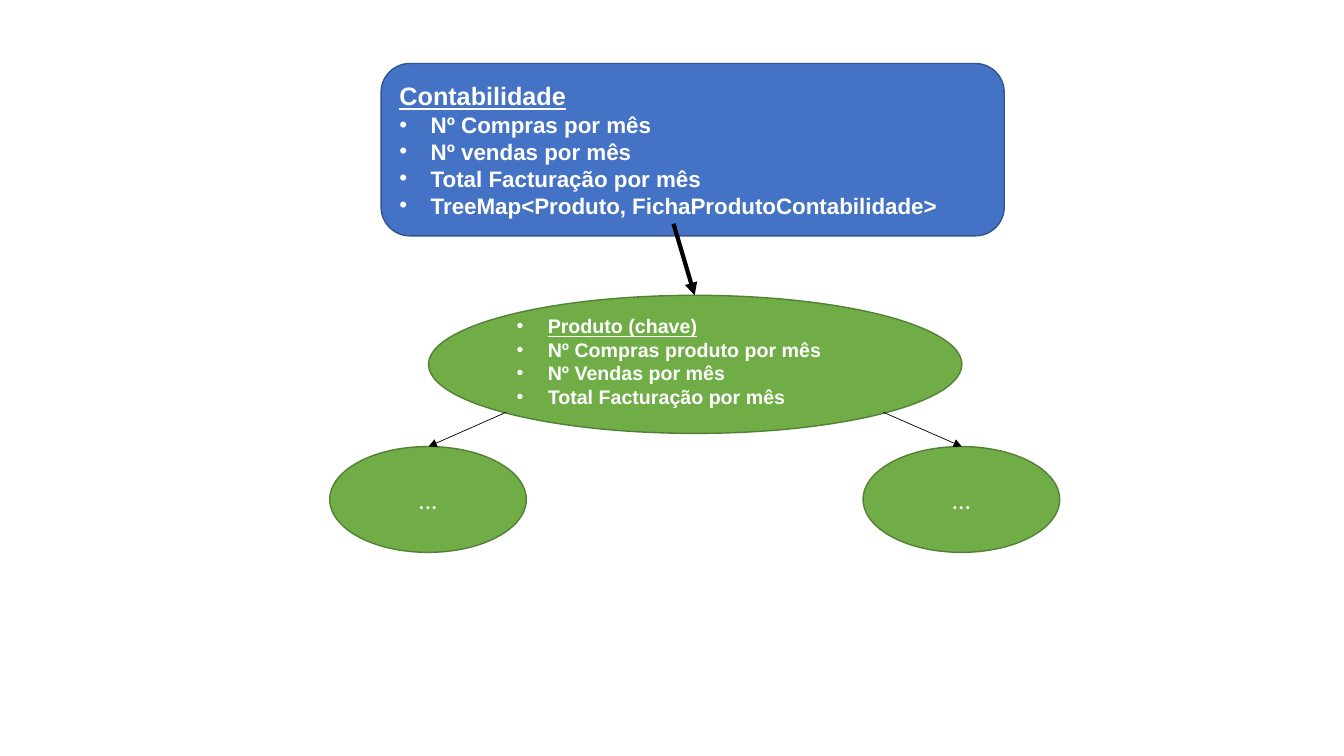
from dataclasses import dataclass
from lxml.etree import SubElement
from pptx import Presentation
from pptx.dml.color import RGBColor
from pptx.enum.shapes import MSO_CONNECTOR, MSO_SHAPE
from pptx.enum.text import MSO_ANCHOR, PP_ALIGN
from pptx.oxml.ns import qn
from pptx.util import Inches, Pt


@dataclass
class Theme:
    blue: str = "4472C4"
    navy: str = "325491"
    green: str = "70AD47"
    moss: str = "538035"
    white: str = "FFFFFF"
    black: str = "000000"
    head: int = 18
    body: int = 16
    small: int = 14
    font: str = "Arial"
    plain: str = "Calibri"


theme = Theme()
deck = Presentation()
deck.slide_width, deck.slide_height = Inches(13.33), Inches(7.5)
slide = deck.slides.add_slide(deck.slide_layouts[6])


def add_node(kind, box, fill, edge):
    node = slide.shapes.add_shape(kind, *map(Inches, box))
    node.shadow.inherit = False
    node.fill.solid()
    node.fill.fore_color.rgb = RGBColor.from_string(fill)
    node.line.color.rgb = RGBColor.from_string(edge)
    node.line.width = Pt(1)
    node.text_frame.word_wrap = True
    node.text_frame.vertical_anchor = MSO_ANCHOR.MIDDLE
    return node.text_frame


def write(frame, text, size, font=theme.font, bold=True, under=False,
          bullet=True, align=PP_ALIGN.LEFT):
    para = frame.paragraphs[0]
    if para.runs:
        para = frame.add_paragraph()
    para.alignment = align
    run = para.add_run()
    run.text = text
    run.font.size = Pt(size)
    run.font.name = font
    run.font.bold = bold
    run.font.underline = under
    run.font.color.rgb = RGBColor.from_string(theme.white)
    if bullet:
        props = para._p.get_or_add_pPr()
        props.set("marL", str(Inches(0.31)))
        props.set("indent", str(-Inches(0.31)))
        SubElement(props, qn("a:buFont"), typeface=theme.font)
        SubElement(props, qn("a:buChar"), char="•")


ledger = add_node(MSO_SHAPE.ROUNDED_RECTANGLE, (3.78, 0.63, 6.18, 1.71),
                  theme.blue, theme.navy)
write(ledger, "Contabilidade", theme.head, under=True, bullet=False)
for text in ("Nº Compras por mês", "Nº vendas por mês",
             "Total Facturação por mês",
             "TreeMap<Produto, FichaProdutoContabilidade>"):
    write(ledger, text, theme.body)

product = add_node(MSO_SHAPE.OVAL, (4.25, 2.93, 5.29, 1.37),
                   theme.green, theme.moss)
product.margin_top, product.margin_bottom = Inches(0), Inches(0.06)
write(product, "Produto (chave)", theme.small, under=True)
for text in ("Nº Compras produto por mês", "Nº Vendas por mês",
             "Total Facturação por mês"):
    write(product, text, theme.small)

for left in (3.27, 8.56):
    leaf = add_node(MSO_SHAPE.OVAL, (left, 4.43, 1.95, 1.05),
                    theme.green, theme.moss)
    write(leaf, "...", theme.head, font=theme.plain, bold=False,
          bullet=False, align=PP_ALIGN.CENTER)

for ends, width in (((6.68, 2.22, 6.89, 2.93), 3),
                    ((5.02, 4.09, 4.25, 4.43), 0.5),
                    ((8.76, 4.09, 9.54, 4.43), 0.5)):
    arrow = slide.shapes.add_connector(MSO_CONNECTOR.STRAIGHT,
                                       *map(Inches, ends))
    arrow.line.color.rgb = RGBColor.from_string(theme.black)
    arrow.line.width = Pt(width)
    SubElement(arrow.line._get_or_add_ln(), qn("a:tailEnd"), type="triangle")
    SubElement(arrow._element.spPr, qn("a:effectLst"))

deck.save("out.pptx")
